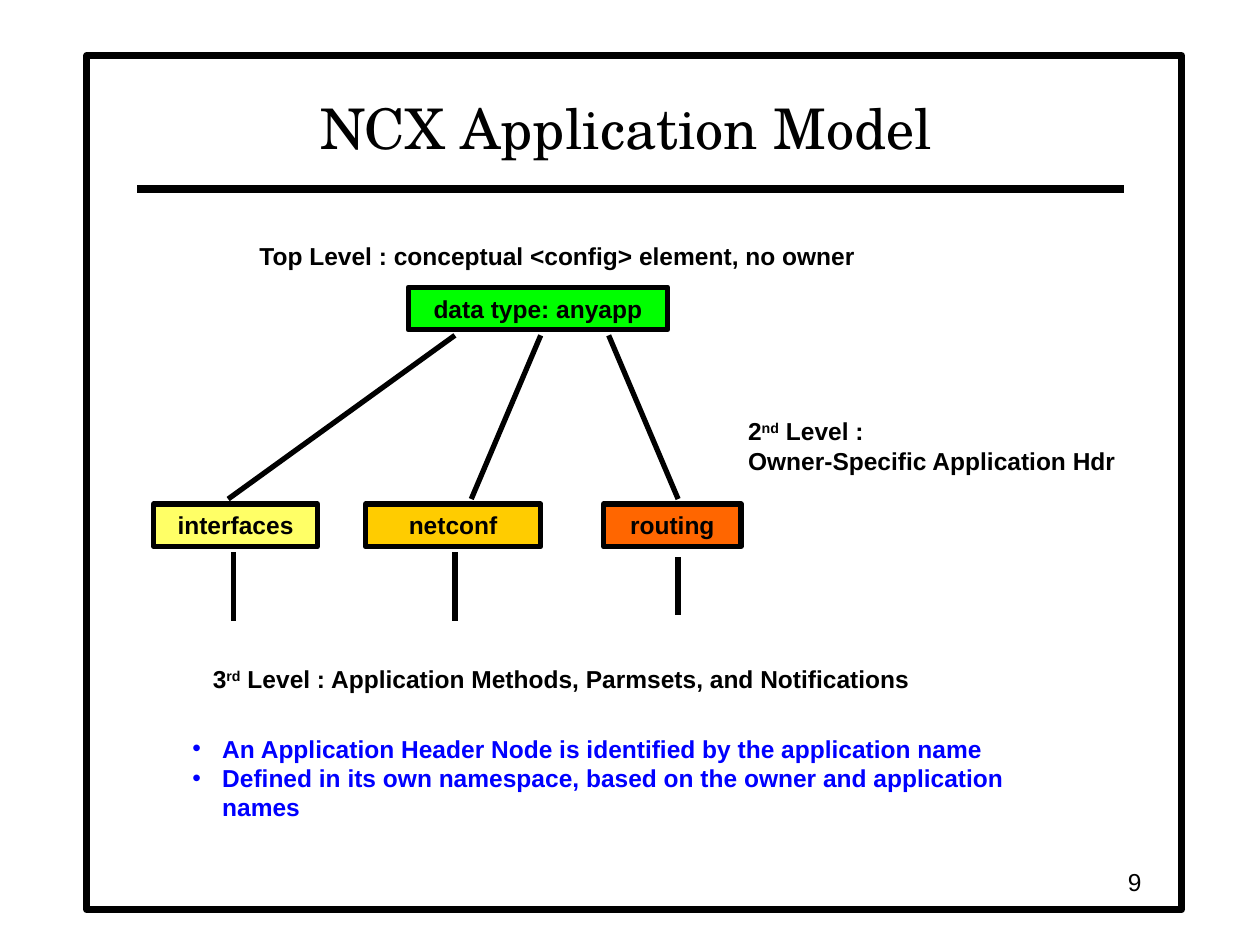
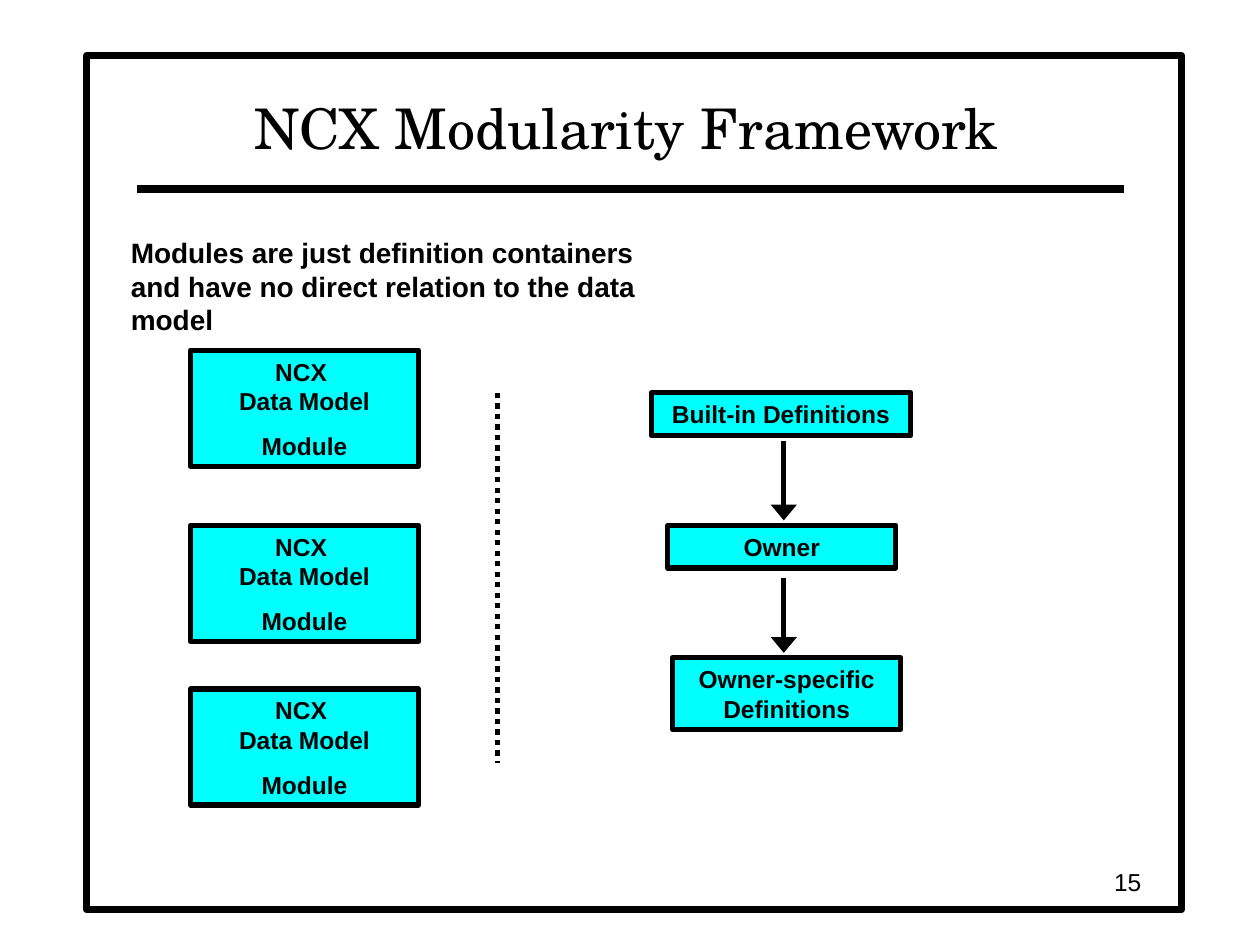
from copy import deepcopy
from dataclasses import dataclass

from lxml import etree
from pptx import Presentation
from pptx.dml.color import RGBColor
from pptx.enum.dml import MSO_LINE
from pptx.enum.shapes import MSO_CONNECTOR, MSO_SHAPE
from pptx.enum.text import MSO_ANCHOR, MSO_AUTO_SIZE, PP_ALIGN
from pptx.oxml.ns import qn
from pptx.shapes.autoshape import Shape
from pptx.slide import Slide
from pptx.text.text import TextFrame
from pptx.util import Cm, Pt

# Colours
BLACK = RGBColor(0x00, 0x00, 0x00)
WHITE = RGBColor(0xFF, 0xFF, 0xFF)
GREEN = RGBColor(0x00, 0xFF, 0x00)
YELLOW = RGBColor(0xFF, 0xFF, 0x66)
AMBER = RGBColor(0xFF, 0xCC, 0x00)
ORANGE = RGBColor(0xFF, 0x66, 0x00)
CYAN = RGBColor(0x00, 0xFF, 0xFF)
BLUE = RGBColor(0x00, 0x00, 0xFF)

# Enum members
LEFT, CENTER, RIGHT = PP_ALIGN.LEFT, PP_ALIGN.CENTER, PP_ALIGN.RIGHT
TOP, MIDDLE, BOTTOM = MSO_ANCHOR.TOP, MSO_ANCHOR.MIDDLE, MSO_ANCHOR.BOTTOM
FIT_SHAPE, FIXED = MSO_AUTO_SIZE.SHAPE_TO_FIT_TEXT, MSO_AUTO_SIZE.NONE
RECTANGLE, STRAIGHT = MSO_SHAPE.RECTANGLE, MSO_CONNECTOR.STRAIGHT
SOLID, DOTTED = MSO_LINE.SOLID, MSO_LINE.ROUND_DOT

# Text styles
TITLE_FONT = {"name": "TeX Gyre Schola", "size": Pt(32), "bold": False}
LABEL_FONT = {"name": "Arial", "size": Pt(14), "bold": True}
INTRO_FONT = {**LABEL_FONT, "size": Pt(16)}
NUMBER_FONT = {**LABEL_FONT, "bold": False}
MARGINS = {"margin_left": Cm(0.25), "margin_right": Cm(0.25),
           "margin_top": Cm(0.13), "margin_bottom": Cm(0.13)}

# Heights of boxes with one line, two lines, or two lines and a paragraph
ONE_LINE, TWO_LINES, MODULE_HEIGHT = 0.86, 1.45, 2.34
MODULE_WIDTH = 4.6


@dataclass
class Node:
    """A filled box; lengths in centimetres."""
    text: str
    left: float
    top: float
    width: float
    height: float = ONE_LINE
    fill: RGBColor = CYAN


@dataclass
class Label:
    """Free text; lengths in centimetres, ^ encloses a superscript."""
    text: str
    left: float
    top: float
    width: float
    height: float = ONE_LINE
    wraps: bool = False
    bulleted: bool = False
    color: RGBColor = BLACK


@dataclass
class Link:
    """A straight line; lengths in centimetres."""
    x1: float
    y1: float
    x2: float
    y2: float
    weight: float = 3
    dash: MSO_LINE = SOLID
    arrow: bool = False


def set_attributes(target: object, values: dict) -> None:
    for name, value in values.items():
        setattr(target, name, value)


def write_text(frame: TextFrame, text: str, style: dict, color: RGBColor = BLACK,
               align: PP_ALIGN = LEFT, bulleted: bool = False) -> None:
    """Blocks split at | are paragraphs, newlines are line breaks."""
    for position, block in enumerate(text.split("|")):
        paragraph = frame.add_paragraph() if position else frame.paragraphs[0]
        paragraph.alignment = align
        if bulleted:
            add_bullet(paragraph, color)
        elif position:
            paragraph.space_before = Pt(8.8)
        for piece_index, piece in enumerate(block.split("^")):
            for line_index, line in enumerate(piece.split("\n")):
                if line_index:
                    paragraph.add_line_break()
                run = paragraph.add_run()
                run.text = line
                set_attributes(run.font, style)
                run.font.color.rgb = color
                if piece_index % 2:
                    run.font._element.set("baseline", "30000")
        # Line breaks take the run format so that line heights agree
        first_format = paragraph.runs[0].font._element
        for line_break in paragraph._p.findall(qn("a:br")):
            line_break.append(deepcopy(first_format))


def add_bullet(paragraph, color: RGBColor) -> None:
    properties = paragraph._p.get_or_add_pPr()
    properties.set("marL", str(Cm(0.6)))
    properties.set("indent", str(-Cm(0.6)))
    bullet_color = etree.SubElement(properties, qn("a:buClr"))
    etree.SubElement(bullet_color, qn("a:srgbClr"), val=str(color))
    etree.SubElement(properties, qn("a:buFont"), typeface="Arial")
    etree.SubElement(properties, qn("a:buChar"), char="•")


def draw_rectangle(slide: Slide, left: float, top: float, width: float,
                   height: float, fill: RGBColor, weight: float) -> Shape:
    rectangle = slide.shapes.add_shape(RECTANGLE, Cm(left), Cm(top), Cm(width), Cm(height))
    rectangle.shadow.inherit = False
    rectangle.fill.solid()
    rectangle.fill.fore_color.rgb = fill
    rectangle.line.color.rgb = BLACK
    rectangle.line.width = Pt(weight)
    return rectangle


def draw_node(slide: Slide, node: Node) -> None:
    box = draw_rectangle(slide, node.left, node.top, node.width, node.height, node.fill, 3)
    set_attributes(box.text_frame, {**MARGINS, "word_wrap": True, "auto_size": FIT_SHAPE,
                                    "vertical_anchor": TOP})
    write_text(box.text_frame, node.text, LABEL_FONT, align=CENTER)


def draw_label(slide: Slide, label: Label, style: dict = LABEL_FONT) -> None:
    box = slide.shapes.add_textbox(Cm(label.left), Cm(label.top), Cm(label.width), Cm(label.height))
    set_attributes(box.text_frame, {**MARGINS, "word_wrap": label.wraps, "auto_size": FIT_SHAPE})
    write_text(box.text_frame, label.text, style, label.color, bulleted=label.bulleted)


def draw_link(slide: Slide, link: Link):
    connector = slide.shapes.add_connector(STRAIGHT, Cm(link.x1), Cm(link.y1), Cm(link.x2), Cm(link.y2))
    connector.line.color.rgb = BLACK
    connector.line.width = Pt(link.weight)
    connector.line.dash_style = link.dash
    properties = connector.element.spPr
    if link.arrow:
        etree.SubElement(properties.find(qn("a:ln")), qn("a:tailEnd"),
                         type="triangle", w="lg", len="med")
    etree.SubElement(properties, qn("a:effectLst"))
    return connector


def start_slide(deck, heading: str, number: int) -> Slide:
    """Add a slide with its frame, title rule, title and page number."""
    slide = deck.slides.add_slide(deck.slide_layouts.get_by_name("Title Only"))
    title = slide.shapes.title
    set_attributes(title, {"left": Cm(2.74), "top": Cm(1.47), "width": Cm(19.79), "height": Cm(1.91)})
    set_attributes(title.text_frame, {**MARGINS, "word_wrap": True, "auto_size": FIXED,
                                      "vertical_anchor": BOTTOM})
    write_text(title.text_frame, heading, TITLE_FONT, align=CENTER)

    # Frame and rule lie behind the title
    frame = draw_rectangle(slide, 1.75, 1.12, 22.07, 17.22, WHITE, 4)
    rule = draw_link(slide, Link(2.77, 3.81, 22.66, 3.81, weight=4.5))
    for backdrop in (frame, rule):
        title.element.addprevious(backdrop.element)

    page = slide.shapes.add_textbox(Cm(17.98), Cm(17.35), Cm(5.28), Cm(0.84))
    set_attributes(page.text_frame, {**MARGINS, "word_wrap": True, "vertical_anchor": MIDDLE})
    write_text(page.text_frame, str(number), NUMBER_FONT, align=RIGHT)
    return slide


def build_application_model(deck) -> None:
    slide = start_slide(deck, "NCX Application Model", 9)

    # Application tree
    applications_top = 10.16
    for node in (
        Node("data type: anyapp", 8.23, 5.79, 5.23, fill=GREEN),
        Node("interfaces", 3.1, applications_top, 3.3, fill=YELLOW),
        Node("netconf", 7.37, applications_top, 3.53, fill=AMBER),
        Node("routing", 12.17, applications_top, 2.77, fill=ORANGE),
    ):
        draw_node(slide, node)

    # Branches down to the applications, then stubs to the third level
    for root_x, application_x in ((9.17, 4.6), (10.9, 9.5), (12.27, 13.67)):
        draw_link(slide, Link(root_x, 6.76, application_x, 10.06))
    for x, top, bottom in ((4.7, 11.13, 12.52), (9.17, 11.13, 12.52), (13.67, 11.23, 12.4)):
        draw_link(slide, Link(x, top, x, bottom))

    # Level captions and closing points
    for label in (
        Label("Top Level : conceptual <config> element, no owner", 4.98, 4.72, 12.55),
        Label("2^nd^ Level : \nOwner-Specific Application Hdr", 14.83, 8.26, 8.43,
              TWO_LINES, wraps=True),
        Label("3^rd^ Level : Application Methods, Parmsets, and Notifications",
              4.04, 13.26, 14.58),
        Label("An Application Header Node is identified by the application name|"
              "Defined in its own namespace, based on the owner and application names",
              3.63, 14.66, 18.16, TWO_LINES, wraps=True, bulleted=True, color=BLUE),
    ):
        draw_label(slide, label)


def build_modularity_framework(deck) -> None:
    slide = start_slide(deck, "NCX Modularity Framework", 15)
    draw_label(slide, Label("Modules are just definition containers\n"
                            "and have no direct relation to the data model",
                            2.39, 4.62, 12.47, 1.63), INTRO_FONT)

    # Modules on the left
    for module_top in (7.06, 10.59, 13.89):
        draw_node(slide, Node("NCX \nData Model|Module", 3.84, module_top,
                              MODULE_WIDTH, MODULE_HEIGHT))

    # Divider
    draw_link(slide, Link(10.03, 7.92, 10.03, 15.39, dash=DOTTED))

    # Definition chain on the right
    for node in (
        Node("Built-in Definitions", 13.13, 7.92, 5.23),
        Node("Owner", 13.46, 10.59, MODULE_WIDTH),
        Node("Owner-specific\nDefinitions", 13.56, 13.26, MODULE_WIDTH, TWO_LINES),
    ):
        draw_node(slide, node)
    chain_x = 15.8
    for top, bottom in ((8.89, 10.49), (11.66, 13.16)):
        draw_link(slide, Link(chain_x, top, chain_x, bottom, arrow=True))


def main() -> None:
    deck = Presentation()
    deck.slide_width, deck.slide_height = Cm(25.4), Cm(19.05)
    build_application_model(deck)
    build_modularity_framework(deck)
    deck.save("out.pptx")


if __name__ == "__main__":
    main()
